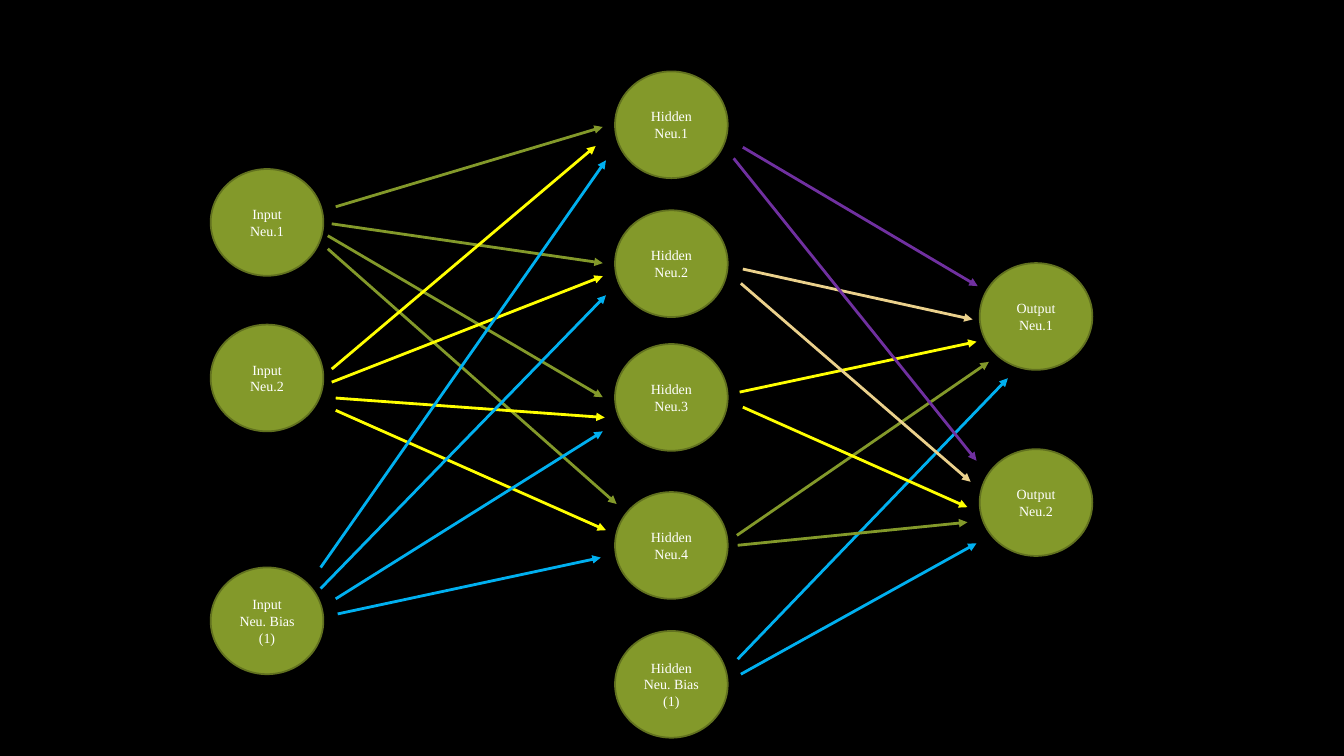
from dataclasses import dataclass

from lxml.etree import SubElement
from pptx import Presentation
from pptx.dml.color import RGBColor
from pptx.enum.shapes import MSO_CONNECTOR, MSO_SHAPE
from pptx.enum.text import MSO_ANCHOR, PP_ALIGN
from pptx.oxml.ns import qn
from pptx.slide import Slide
from pptx.util import Cm, Pt

COLORS = {
    "black": "000000",
    "white": "FFFFFF",
    "olive": "83992A",
    "dark olive": "61711F",
    "yellow": "FFFF00",
    "blue": "00B0F0",
    "sand": "EBD18C",
    "purple": "7030A0",
}
SLIDE_WIDTH, SLIDE_HEIGHT = Cm(33.87), Cm(19.05)
NEURON_WIDTH, NEURON_HEIGHT = Cm(2.84), Cm(2.69)
Point = tuple[float, float]


@dataclass
class Neuron:
    top: float
    label: str


@dataclass
class Layer:
    left: float
    neurons: list[Neuron]


@dataclass
class Fan:
    """Arrows leaving one neuron, as (start, end) points in cm."""
    color: str
    arrows: list[tuple[Point, Point]]


LAYERS = [
    Layer(5.31, [
        Neuron(4.26, "Input\nNeu.1"),
        Neuron(8.18, "Input\nNeu.2"),
        Neuron(14.3, "Input\nNeu. Bias (1)"),
    ]),
    Layer(15.5, [
        Neuron(1.8, "Hidden\nNeu.1"),
        Neuron(5.3, "Hidden\nNeu.2"),
        Neuron(8.67, "Hidden\nNeu.3"),
        Neuron(12.4, "Hidden\nNeu.4"),
        Neuron(15.9, "Hidden\nNeu. Bias\n(1)"),
    ]),
    Layer(24.69, [
        Neuron(6.63, "Output\nNeu.1"),
        Neuron(11.32, "Output\nNeu.2"),
    ]),
]

FANS = [
    # Input layer to hidden layer
    Fan("olive", [
        ((8.46, 5.21), (15.19, 3.2)),
        ((8.36, 5.64), (15.19, 6.63)),
        ((8.26, 5.94), (15.19, 10.01)),
        ((8.26, 6.27), (15.54, 12.7)),
    ]),
    Fan("yellow", [
        ((8.36, 9.3), (15.01, 3.68)),
        ((8.36, 9.63), (15.19, 6.96)),
        ((8.46, 10.03), (15.24, 10.52)),
        ((8.46, 10.34), (15.27, 13.36)),
    ]),
    Fan("blue", [
        ((8.08, 14.3), (15.27, 4.04)),
        ((8.08, 14.83), (15.27, 7.44)),
        ((8.46, 15.09), (15.19, 10.87)),
        ((8.51, 15.47), (15.14, 14.05)),
    ]),
    # Hidden layer to output layer
    Fan("blue", [
        ((18.67, 16.99), (24.61, 13.69)),
        ((18.59, 16.61), (25.4, 9.53)),
    ]),
    Fan("olive", [
        ((18.59, 13.74), (24.38, 13.16)),
        ((18.57, 13.49), (24.92, 9.12)),
    ]),
    Fan("yellow", [
        ((18.72, 10.26), (24.38, 12.78)),
        ((18.64, 9.88), (24.61, 8.61)),
    ]),
    Fan("sand", [
        ((18.67, 7.14), (24.46, 12.14)),
        ((18.72, 6.78), (24.51, 8.05)),
    ]),
    Fan("purple", [
        ((18.49, 3.99), (24.61, 11.61)),
        ((18.72, 3.71), (24.64, 7.21)),
    ]),
]


def rgb(color: str) -> RGBColor:
    return RGBColor.from_string(COLORS[color])


def draw_backdrop(slide: Slide) -> None:
    backdrop = slide.shapes.add_shape(MSO_SHAPE.RECTANGLE, 0, 0, SLIDE_WIDTH, SLIDE_HEIGHT)
    backdrop.shadow.inherit = False
    backdrop.fill.solid()
    backdrop.fill.fore_color.rgb = rgb("black")
    backdrop.line.color.rgb = rgb("black")
    backdrop.line.width = Pt(1.25)


def draw_neuron(slide: Slide, left: float, neuron: Neuron) -> None:
    circle = slide.shapes.add_shape(
        MSO_SHAPE.OVAL, Cm(left), Cm(neuron.top), NEURON_WIDTH, NEURON_HEIGHT)
    circle.shadow.inherit = False
    circle.fill.solid()
    circle.fill.fore_color.rgb = rgb("olive")
    circle.line.color.rgb = rgb("dark olive")
    circle.line.width = Pt(1.25)

    label = circle.text_frame
    label.word_wrap = True
    label.vertical_anchor = MSO_ANCHOR.MIDDLE
    label.text = neuron.label
    for paragraph in label.paragraphs:
        paragraph.alignment = PP_ALIGN.CENTER
        for run in paragraph.runs:
            run.font.name = "Times New Roman"
            run.font.size = Pt(10)
            run.font.color.rgb = rgb("white")


def draw_arrow(slide: Slide, start: Point, end: Point, color: str) -> None:
    arrow = slide.shapes.add_connector(
        MSO_CONNECTOR.STRAIGHT, *map(Cm, start), *map(Cm, end))
    arrow.line.color.rgb = rgb(color)
    arrow.line.width = Pt(2)
    SubElement(arrow.line._get_or_add_ln(), qn("a:tailEnd"), type="triangle")
    SubElement(arrow._element.spPr, qn("a:effectLst"))


def main() -> None:
    presentation = Presentation()
    presentation.slide_width = SLIDE_WIDTH
    presentation.slide_height = SLIDE_HEIGHT
    slide = presentation.slides.add_slide(presentation.slide_layouts[6])

    draw_backdrop(slide)
    for layer in LAYERS:
        for neuron in layer.neurons:
            draw_neuron(slide, layer.left, neuron)
    for fan in FANS:
        for start, end in fan.arrows:
            draw_arrow(slide, start, end, fan.color)

    presentation.save("out.pptx")


if __name__ == "__main__":
    main()
